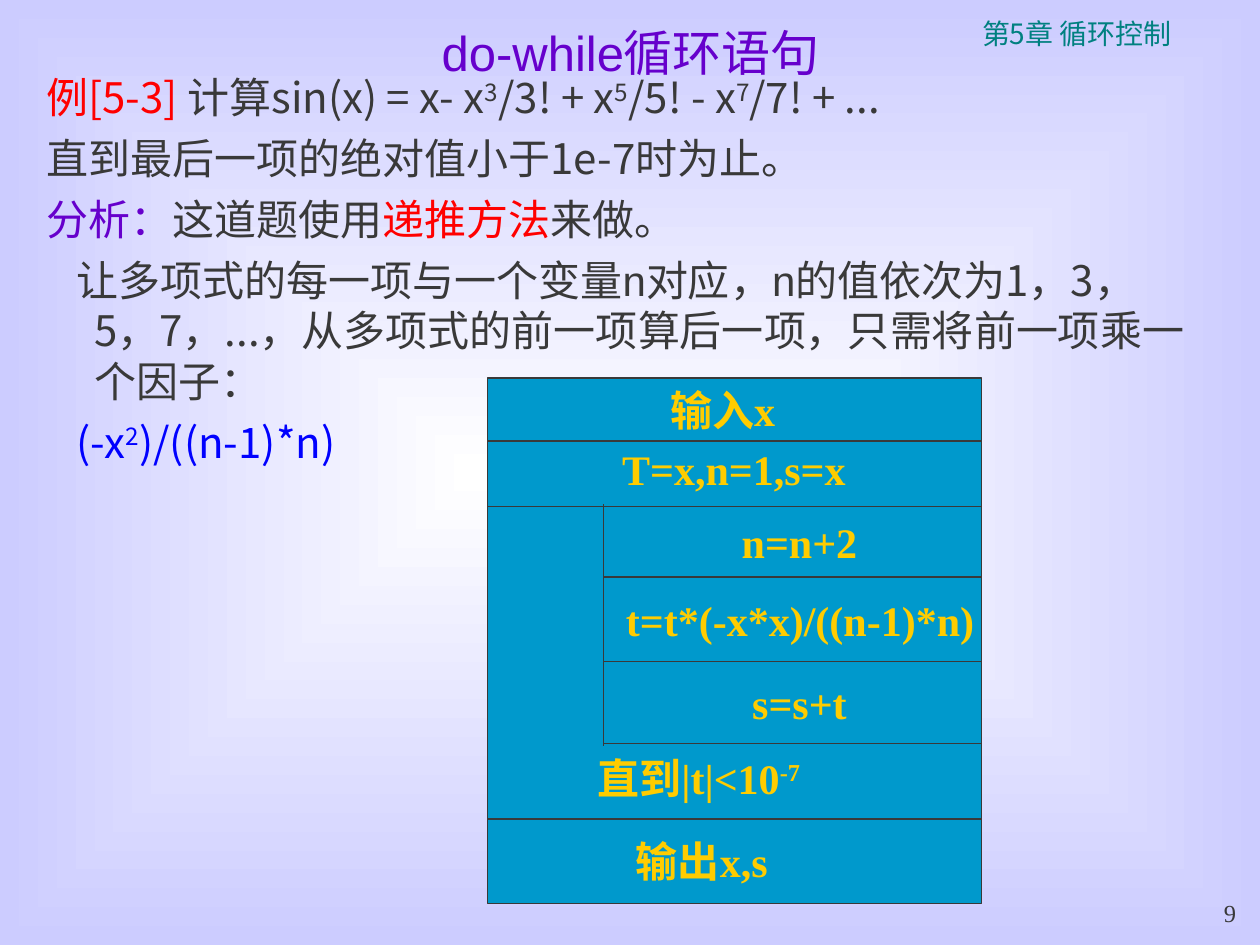
import pptx
import pptx.util
import pptx.dml.color
import pptx.enum.shapes
import pptx.enum.text
import pptx.oxml
import pptx.oxml.ns
from pptx.util import Inches

ALIGN = pptx.enum.text.PP_ALIGN
ANCHOR = pptx.enum.text.MSO_ANCHOR
CJK = "Noto Sans CJK SC"
DARK, RED, PURPLE, BLUE = "393939", "FF0000", "6600CC", "0000FF"
GOLD, CYAN, TEAL, LILAC = "FFCC00", "0099CC", "008080", "CCCCFF"


def rgb(value):
    return pptx.dml.color.RGBColor.from_string(value)


def add_run(p, text, size, color, font=CJK, east=CJK, bold=False, raised=False):
    r = p.add_run()
    r.text = text
    formats = {"size": pptx.util.Pt(size), "name": font, "bold": bold}
    for name, value in formats.items():
        setattr(r.font, name, value)
    r.font.color.rgb = rgb(color)
    rpr = r.font._element
    ea = rpr.makeelement(pptx.oxml.ns.qn("a:ea"), {"typeface": east})
    rpr.find(pptx.oxml.ns.qn("a:latin")).addnext(ea)
    if raised:
        rpr.set("baseline", "30000")


def add_text(shapes, box, runs, align=ALIGN.LEFT, anchor=ANCHOR.TOP, **style):
    """Add a one-line text box; runs are (text, raised) pairs."""
    sp = shapes.add_textbox(*map(Inches, box))
    tf = sp.text_frame
    tf.word_wrap, tf.vertical_anchor = True, anchor
    p = tf.paragraphs[0]
    p.alignment = align
    for text, raised in runs:
        add_run(p, text, raised=raised, **style)
    return tf


def add_line(shapes, x1, y1, x2, y2):
    line = shapes.add_connector(pptx.enum.shapes.MSO_CONNECTOR.STRAIGHT,
                                *map(Inches, (x1, y1, x2, y2)))
    line.line.color.rgb = rgb(DARK)
    line.line.width = pptx.util.Pt(0.75)
    sppr = line._element.spPr
    sppr.append(sppr.makeelement(pptx.oxml.ns.qn("a:effectLst"), {}))


def set_background(s):
    """Rectangular gradient, white in the centre."""
    fill = s.background.fill
    fill.gradient()
    for stop, color, position in zip(fill.gradient_stops, ("FFFFFF", LILAC), (0, 1)):
        stop.color.rgb = rgb(color)
        stop.position = position
    grad = s.background._cSld.find(".//" + pptx.oxml.ns.qn("a:gradFill"))
    linear = grad.find(pptx.oxml.ns.qn("a:lin"))
    if linear is not None:
        grad.remove(linear)
    grad.append(pptx.oxml.parse_xml(
        '<a:path xmlns:a="http://schemas.openxmlformats.org/drawingml/2006/main" path="rect">'
        '<a:fillToRect l="50000" t="50000" r="50000" b="50000"/></a:path>'))


def set_title(s, box):
    sp = s.shapes.title
    sp.left, sp.top, sp.width, sp.height = map(Inches, box)
    tf = sp.text_frame
    tf.vertical_anchor = ANCHOR.MIDDLE
    p = tf.paragraphs[0]
    p.alignment = ALIGN.CENTER
    add_run(p, "do-while循环语句", 28, PURPLE, "Arial")


def add_problem(s, box):
    """Statement and analysis: (first-line indent, runs) for each paragraph."""
    variable = ("n", DARK, {"font": "Arial"})
    power = {"raised": True}
    paragraphs = [
        (-0.38, [("例[5-3] ", RED), ("计算sin(x) = x- x", DARK), ("3", DARK, power),
                 ("/3! + x", DARK), ("5", DARK, power), ("/5! - x", DARK),
                 ("7", DARK, power), ("/7! + ...", DARK)]),
        (-0.38, [("直到最后一项的绝对值小于1e-7时为止。", DARK)]),
        (-0.38, [("分析：", PURPLE), ("这道题使用", DARK), ("递推方法", RED), ("来做。", DARK)]),
        (-0.14, [("让多项式的每一项与一个变量", DARK), variable, ("对应，", DARK), variable,
                 ("的值依次为1，3，5，7，...，从多项式的前一项算后一项，"
                  "只需将前一项乘一个因子：", DARK)]),
        (-0.14, [("(-x", BLUE), ("2", BLUE, power), (")/((n-1)*n)", BLUE)]),
    ]
    tf = s.shapes.add_textbox(*map(Inches, box)).text_frame
    tf.word_wrap = True
    for i, (indent, runs) in enumerate(paragraphs):
        p = tf.add_paragraph() if i else tf.paragraphs[0]
        p.space_before = pptx.util.Pt(6 if i else 0)
        ppr = p._p.get_or_add_pPr()
        ppr.set("marL", str(Inches(0.38)))
        ppr.set("indent", str(Inches(indent)))
        for text, color, *extra in runs:
            add_run(p, text, 24, color, **(extra[0] if extra else {}))


def add_flow_chart(s, box):
    """Structure chart of the loop; inner positions are offsets from the box."""
    left, top, width, height = box
    shapes = s.shapes.add_group_shape().shapes
    frame = shapes.add_shape(pptx.enum.shapes.MSO_SHAPE.RECTANGLE, *map(Inches, box))
    frame.shadow.inherit = False
    frame.fill.solid()
    frame.fill.fore_color.rgb = rgb(CYAN)
    frame.line.color.rgb = rgb(DARK)
    frame.line.width = pptx.util.Pt(0.75)

    # Row dividers: full width, then those of the loop body
    body = 0.92
    for start, rows in ((0, (0.5, 1.02, 3.5)), (body, (1.58, 2.25, 2.9))):
        for y in rows:
            add_line(shapes, left + start, top + y, left + width, top + y)
    add_line(shapes, left + body, top + 1, left + body, top + 2.92)

    # Row labels: x, y, width, runs
    labels = [
        (1.31, 0, 1.11, [("输入x", False)]),
        (0.97, 0.47, 1.97, [("T=x,n=1,s=x", False)]),
        (1.92, 1.05, 1.11, [("n=n+2", False)]),
        (1.0, 1.67, 2.96, [("t=t*(-x*x)/((n-1)*n)", False)]),
        (2.0, 2.33, 0.95, [("s=s+t", False)]),
        (0.73, 2.92, 1.89, [("直到|t|<10", False), ("-7", True)]),
        (1.04, 3.58, 1.32, [("输出x,s", False)]),
    ]
    for x, y, label_width, runs in labels:
        tf = add_text(shapes, (left + x, top + y, label_width, 0.5), runs, ALIGN.CENTER,
                      ANCHOR.MIDDLE, size=24, color=GOLD, font="Times New Roman", bold=True)
        # Narrow side margins keep each label on one line
        formats = {"word_wrap": False, "margin_left": Inches(0.02),
                   "margin_right": Inches(0.02)}
        for name, value in formats.items():
            setattr(tf, name, value)


def main():
    prs = pptx.Presentation()
    prs.slide_width, prs.slide_height = Inches(10), Inches(7.5)
    s = prs.slides.add_slide(prs.slide_layouts[5])
    set_background(s)
    # Chapter label
    add_text(s.shapes, (7.17, 0.08, 2.75, 0.37), [("第5章 循环控制", False)], ALIGN.CENTER,
             size=16, color=TEAL, font="Noto Sans CJK JP", east="Noto Sans CJK JP")
    set_title(s, (1.17, 0, 7.67, 0.83))
    add_problem(s, (0.27, 0.52, 9.25, 5.17))
    add_flow_chart(s, (3.87, 3, 3.92, 4.17))
    # Page number
    add_text(s.shapes, (9.33, 7.08, 0.58, 0.33), [("9", False)], ALIGN.RIGHT, ANCHOR.BOTTOM,
             size=14, color=DARK, font="Times New Roman")
    prs.save("out.pptx")


if __name__ == "__main__":
    main()
